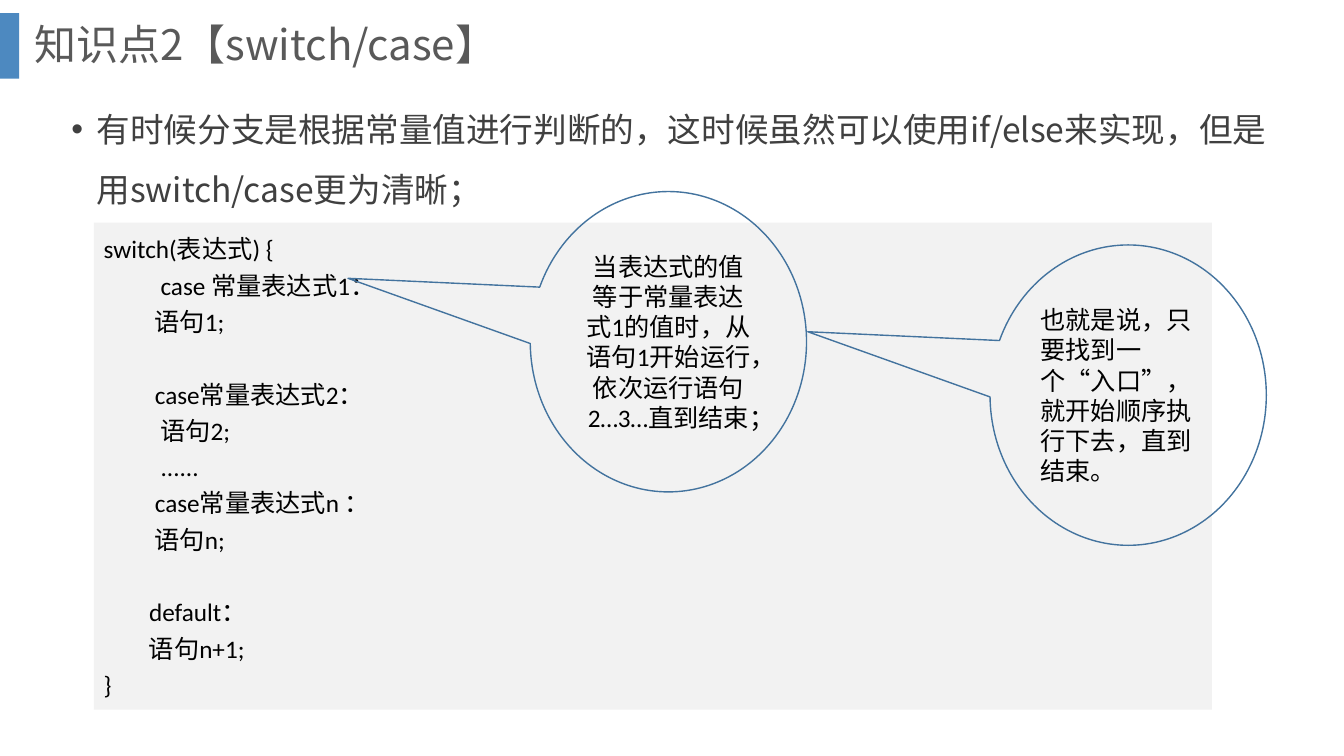
from dataclasses import dataclass

from lxml import etree
from pptx import Presentation
from pptx import util as u
from pptx.dml.color import RGBColor
from pptx.enum import shapes, text
from pptx.oxml.ns import qn

EMU_PER_PX = 9144  # 100 px to the inch


@dataclass(frozen=True)
class Theme:
    heading_font: str = "Noto Sans CJK SC"
    code_font: str = "Calibri"
    title_size: int = 30
    body_size: int = 24
    code_size: int = 18
    code_gap: int = 26
    title_color: str = "595959"
    body_color: str = "404040"
    code_color: str = "000000"
    accent: str = "2E75B6"
    accent_alpha: int = 85
    panel: str = "F2F2F2"
    callout_line: str = "43739E"


@dataclass(frozen=True)
class Box:
    left: int
    top: int
    width: int
    height: int

    def emu(self) -> tuple:
        return tuple(px(n) for n in (self.left, self.top, self.width, self.height))


@dataclass(frozen=True)
class Callout:
    box: Box
    words: str
    alignment: text.PP_ALIGN


THEME = Theme()

TITLE = "知识点2【switch/case】"
BODY = "有时候分支是根据常量值进行判断的，这时候虽然可以使用if/else来实现，但是用switch/case更为清晰；"

# Each block of code is set apart by a gap
CODE_BLOCKS = [
    ["switch(表达式) {",
     "          case 常量表达式1：",
     "         语句1;"],
    ["         case常量表达式2：",
     "          语句2;",
     "          ......",
     "         case常量表达式n ：",
     "         语句n;"],
    ["        default：",
     "        语句n+1;",
     "}"],
]

CALLOUTS = [
    Callout(Box(526, 190, 274, 298),
            "当表达式的值等于常量表达式1的值时，从语句1开始运行，依次运行语句2…3…直到结束；",
            text.PP_ALIGN.CENTER),
    Callout(Box(982, 243, 274, 298),
            "也就是说，只要找到一个“入口”，就开始顺序执行下去，直到结束。",
            text.PP_ALIGN.LEFT),
]
CALLOUT_TIP = (-1.16, -0.211)


def px(count: int) -> int:
    return u.Emu(count * EMU_PER_PX)


def format_runs(paragraph, font: str, size: int, color: str) -> None:
    for run in paragraph.runs:
        run.font.name = font
        run.font.size = u.Pt(size)
        run.font.color.rgb = RGBColor.from_string(color)
        east_asian = etree.Element(qn("a:ea"), typeface=THEME.heading_font)
        run.font._element.find(qn("a:latin")).addnext(east_asian)


def add_filled_box(slide, box: Box, color: str):
    shape = slide.shapes.add_shape(shapes.MSO_SHAPE.RECTANGLE, *box.emu())
    shape.shadow.inherit = False
    shape.fill.solid()
    shape.fill.fore_color.rgb = RGBColor.from_string(color)
    shape.line.fill.background()
    return shape


def add_accent_bar(slide) -> None:
    bar = add_filled_box(slide, Box(0, 13, 19, 65), THEME.accent)
    color = bar._element.spPr.find(qn("a:solidFill")).find(qn("a:srgbClr"))
    etree.SubElement(color, qn("a:alpha"), val=str(THEME.accent_alpha * 1000))


def set_title(slide) -> None:
    title = slide.shapes.title
    title.left, title.top, title.width, title.height = Box(24, 0, 1266, 93).emu()
    frame = title.text_frame
    frame.text = TITLE
    frame.vertical_anchor = text.MSO_ANCHOR.MIDDLE
    paragraph = frame.paragraphs[0]
    paragraph.alignment = text.PP_ALIGN.LEFT
    paragraph.line_spacing = 0.9
    format_runs(paragraph, THEME.heading_font, THEME.title_size, THEME.title_color)


def add_body(slide) -> None:
    frame = slide.shapes.add_textbox(*Box(61, 83, 1205, 128).emu()).text_frame
    frame.word_wrap = True
    frame.text = BODY
    paragraph = frame.paragraphs[0]
    paragraph.line_spacing = 1.5
    properties = paragraph._p.get_or_add_pPr()
    properties.set("marL", str(px(25)))
    properties.set("indent", str(px(-25)))
    etree.SubElement(properties, qn("a:buFont"), typeface="Arial")
    etree.SubElement(properties, qn("a:buChar"), char="•")
    format_runs(paragraph, THEME.heading_font, THEME.body_size, THEME.body_color)


def add_code(slide) -> None:
    frame = add_filled_box(slide, Box(93, 221, 1109, 483), THEME.panel).text_frame
    frame.word_wrap = True
    frame.vertical_anchor = text.MSO_ANCHOR.TOP
    frame.text = "\n".join(line for block in CODE_BLOCKS for line in block)
    block_starts = {block[0] for block in CODE_BLOCKS[1:]}
    for paragraph in frame.paragraphs:
        paragraph.alignment = text.PP_ALIGN.LEFT
        paragraph.line_spacing = 1.2
        if paragraph.text in block_starts:
            paragraph.space_before = u.Pt(THEME.code_gap)
        format_runs(paragraph, THEME.code_font, THEME.code_size, THEME.code_color)


def add_callout(slide, callout: Callout) -> None:
    shape = slide.shapes.add_shape(shapes.MSO_SHAPE.OVAL_CALLOUT, *callout.box.emu())
    shape.shadow.inherit = False
    shape.adjustments[0], shape.adjustments[1] = CALLOUT_TIP
    shape.fill.background()
    shape.line.color.rgb = RGBColor.from_string(THEME.callout_line)
    shape.line.width = u.Pt(1)
    frame = shape.text_frame
    frame.word_wrap = True
    frame.vertical_anchor = text.MSO_ANCHOR.MIDDLE
    frame.text = callout.words
    paragraph = frame.paragraphs[0]
    paragraph.alignment = callout.alignment
    format_runs(paragraph, THEME.code_font, THEME.code_size, THEME.code_color)


def main() -> None:
    presentation = Presentation()
    presentation.slide_width = px(1333)
    presentation.slide_height = px(750)
    title_only = presentation.slide_layouts[5]
    slide = presentation.slides.add_slide(title_only)

    # Heading
    add_accent_bar(slide)
    set_title(slide)
    add_body(slide)

    # Code with its explanations
    add_code(slide)
    for callout in CALLOUTS:
        add_callout(slide, callout)

    presentation.save("out.pptx")


if __name__ == "__main__":
    main()
